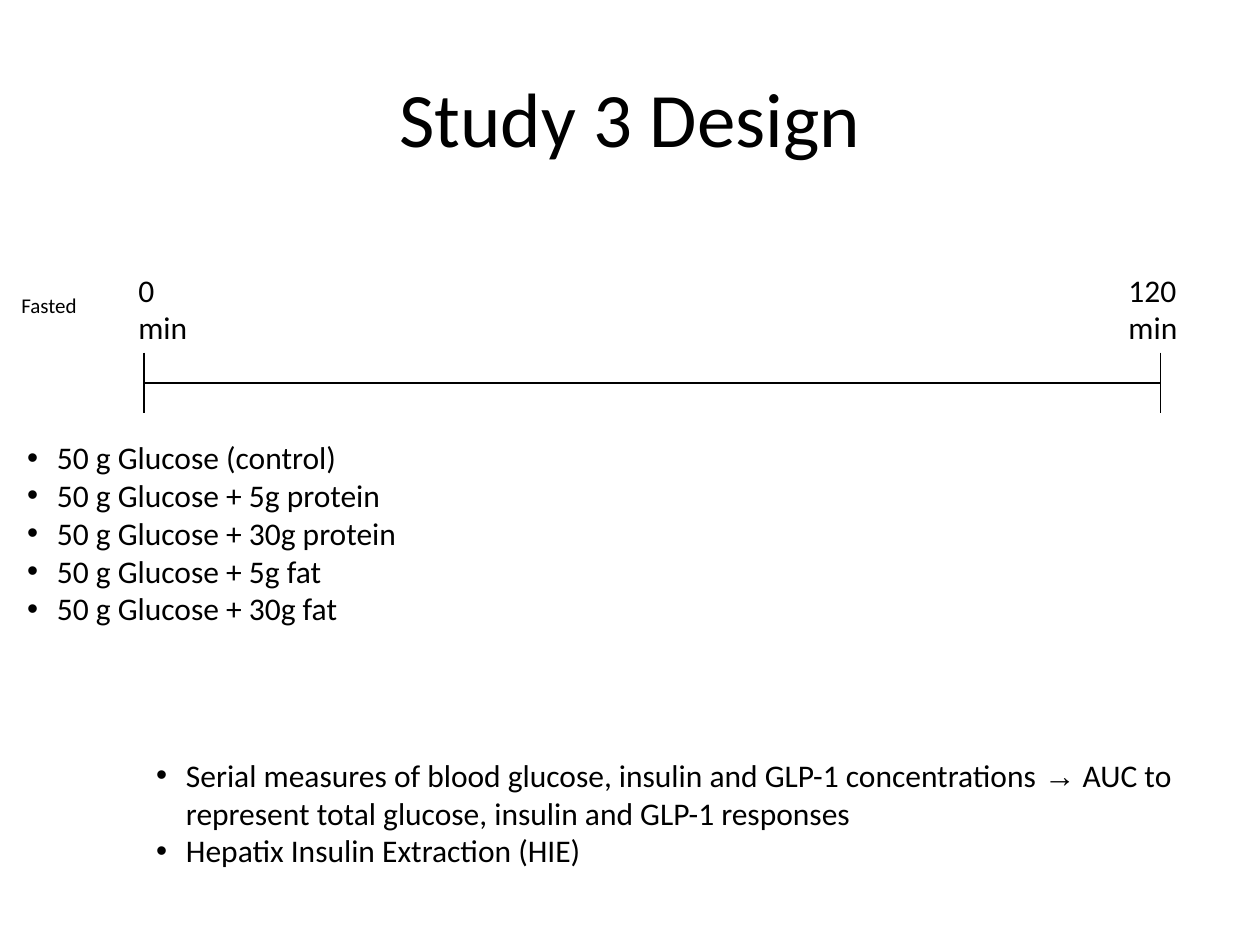
from dataclasses import dataclass

from lxml import etree
from pptx import Presentation
from pptx.dml.color import RGBColor
from pptx.enum.shapes import MSO_CONNECTOR
from pptx.enum.text import MSO_ANCHOR, PP_ALIGN
from pptx.oxml.ns import qn
from pptx.slide import Slide
from pptx.text.text import _Paragraph
from pptx.util import Cm, Pt

BLACK = RGBColor(0, 0, 0)
STRAIGHT = MSO_CONNECTOR.STRAIGHT
MIDDLE, TOP = MSO_ANCHOR.MIDDLE, MSO_ANCHOR.TOP
CENTER, LEFT = PP_ALIGN.CENTER, PP_ALIGN.LEFT
FONT, ARROW_FONT = "Calibri", "Arial"
ARROW = "→"
BULLET_INDENT = Cm(0.6)

START_X, END_X = 2.9, 23.4
AXIS_Y, TICK_HALF = 7.72, 0.61


@dataclass(frozen=True)
class TextBlock:
    """Lines of text in a box measured in centimetres."""
    lines: tuple[str, ...]
    left: float
    top: float
    width: float
    height: float
    size: int = 18
    bulleted: bool = False
    align: PP_ALIGN = LEFT
    anchor: MSO_ANCHOR = TOP


@dataclass(frozen=True)
class Segment:
    x1: float
    y1: float
    x2: float
    y2: float


TEXT_BLOCKS = (
    TextBlock(("Study 3 Design",), 1.27, 0.76, 22.86, 3.18,
              size=44, align=CENTER, anchor=MIDDLE),
    TextBlock(("Fasted",), 0.18, 5.77, 3.99, 0.76, size=12),
    TextBlock(("0", "min"), 2.54, 5.33, 3.99, 1.78),
    TextBlock(("120", "min"), 22.5, 5.33, 3.99, 1.78),
    TextBlock(
        ("50 g Glucose (control)",
         "50 g Glucose + 5g protein",
         "50 g Glucose + 30g protein",
         "50 g Glucose + 5g fat",
         "50 g Glucose + 30g fat"),
        0.3, 8.71, 8.18, 10.16, bulleted=True),
    TextBlock(
        ("Serial measures of blood glucose, insulin and GLP-1 concentrations → "
         "AUC to represent total glucose, insulin and GLP-1 responses",
         "Hepatix Insulin Extraction (HIE)"),
        2.9, 15.11, 21.36, 3.3, bulleted=True),
)

TIMELINE = (
    Segment(START_X, AXIS_Y, END_X, AXIS_Y),
    *(Segment(x, AXIS_Y - TICK_HALF, x, AXIS_Y + TICK_HALF)
      for x in (START_X, END_X)),
)


def add_bullet(paragraph: _Paragraph) -> None:
    properties = paragraph._p.get_or_add_pPr()
    properties.set("marL", str(BULLET_INDENT))
    properties.set("indent", str(-BULLET_INDENT))
    etree.SubElement(properties, qn("a:buFont"), typeface="Arial")
    etree.SubElement(properties, qn("a:buChar"), char="•")


def add_line_text(paragraph: _Paragraph, line: str, size: int) -> None:
    """Write one line, with any arrow in its own font."""
    before, arrow, after = line.partition(ARROW)
    for part in filter(None, (before, arrow, after)):
        run = paragraph.add_run()
        run.text = part
        run.font.name = ARROW_FONT if part == ARROW else FONT
        run.font.size = Pt(size)
        run.font.color.rgb = BLACK


def draw_text(slide: Slide, block: TextBlock) -> None:
    box = slide.shapes.add_textbox(Cm(block.left), Cm(block.top),
                                   Cm(block.width), Cm(block.height))
    frame = box.text_frame
    frame.word_wrap = True
    frame.vertical_anchor = block.anchor
    for index, line in enumerate(block.lines):
        paragraph = frame.add_paragraph() if index else frame.paragraphs[0]
        paragraph.alignment = block.align
        if block.bulleted:
            add_bullet(paragraph)
        add_line_text(paragraph, line, block.size)


def draw_segment(slide: Slide, segment: Segment) -> None:
    connector = slide.shapes.add_connector(
        STRAIGHT, Cm(segment.x1), Cm(segment.y1), Cm(segment.x2), Cm(segment.y2))
    connector.line.color.rgb = BLACK
    connector.line.width = Pt(0.75)
    etree.SubElement(connector._element.spPr, qn("a:effectLst"))


def main() -> None:
    presentation = Presentation()
    presentation.slide_width, presentation.slide_height = Cm(25.4), Cm(19.05)
    slide = presentation.slides.add_slide(presentation.slide_layouts[6])
    for segment in TIMELINE:
        draw_segment(slide, segment)
    for block in TEXT_BLOCKS:
        draw_text(slide, block)
    presentation.save("out.pptx")


if __name__ == "__main__":
    main()
